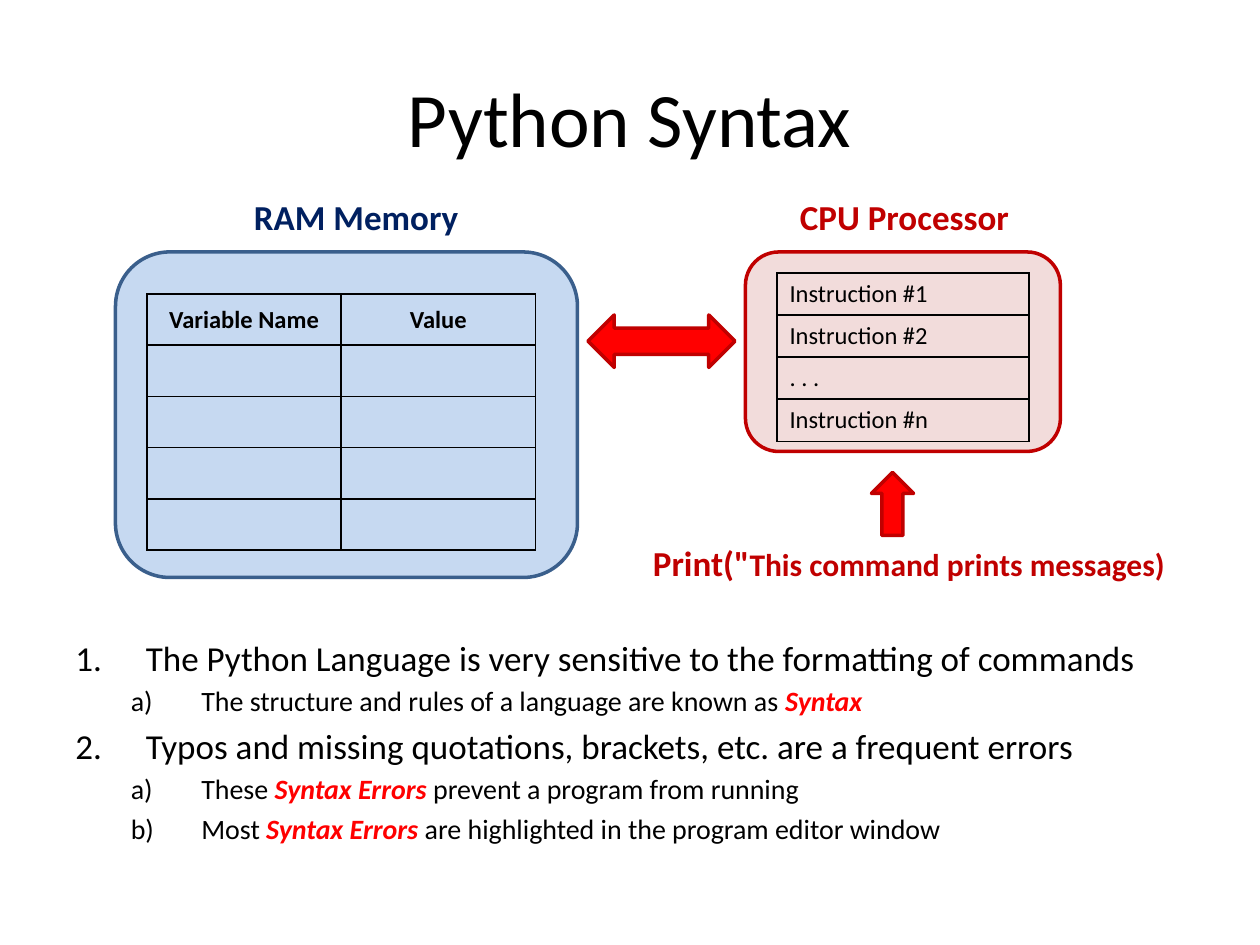
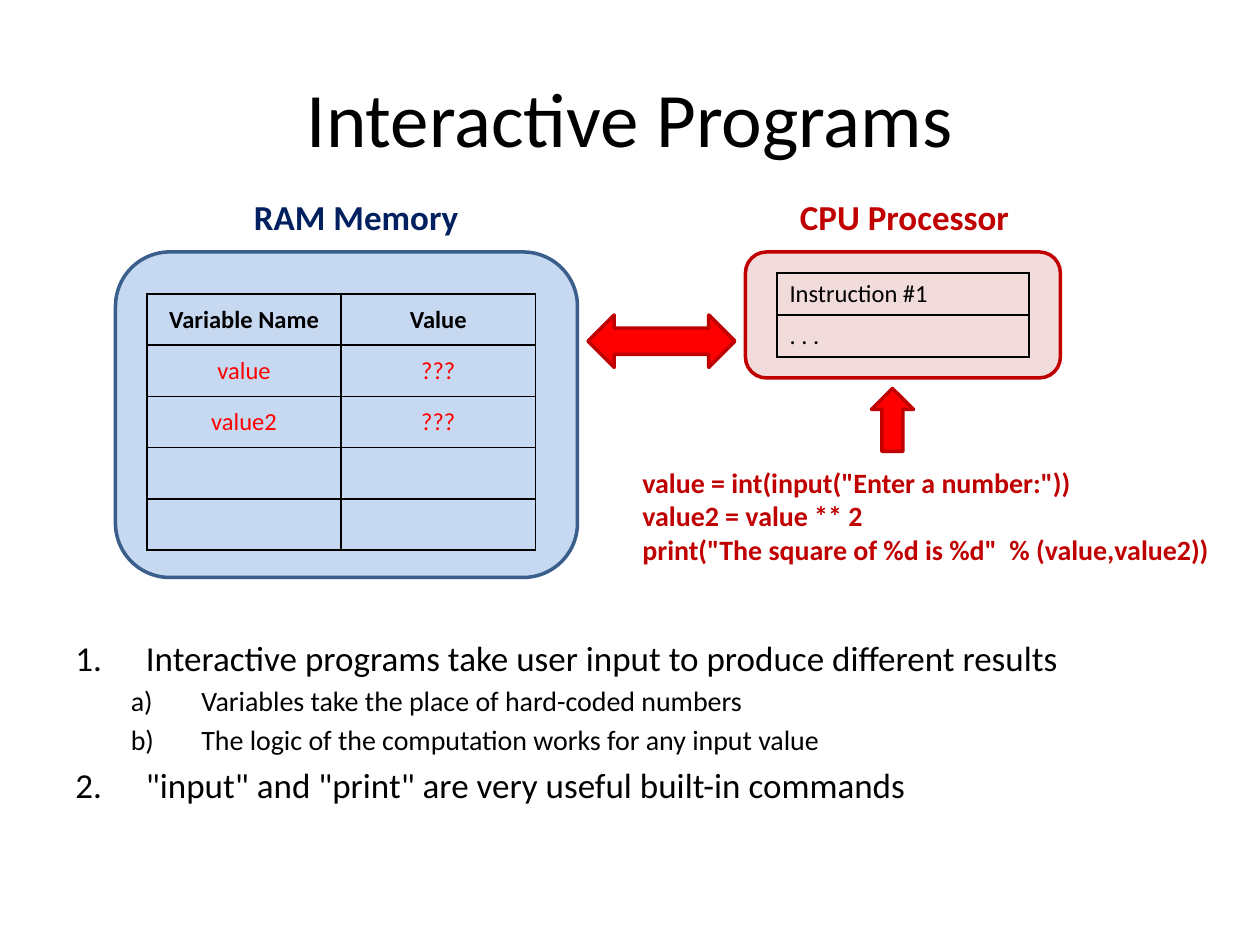
from dataclasses import dataclass
from typing import Any, Optional

from lxml import etree
from pptx import Presentation
from pptx.dml.color import RGBColor
from pptx.enum.shapes import MSO_SHAPE
from pptx.enum.text import MSO_ANCHOR, PP_ALIGN
from pptx.oxml.ns import qn
from pptx.util import Inches, Pt

ROUNDED = MSO_SHAPE.ROUNDED_RECTANGLE
TWO_WAY_ARROW = MSO_SHAPE.LEFT_RIGHT_ARROW
UP_ARROW = MSO_SHAPE.UP_ARROW
LEFT, CENTER = PP_ALIGN.LEFT, PP_ALIGN.CENTER
TOP, MIDDLE = MSO_ANCHOR.TOP, MSO_ANCHOR.MIDDLE

# The grid has 120 columns and 90 rows, twelve to the inch
UNIT = Inches(1) // 12
COLUMNS, ROWS = 120, 90
FONT = "Calibri"
COLORS = {
    "black": "000000",
    "red": "FF0000",
    "dark_red": "C00000",
    "pink": "F2DCDB",
    "navy": "002060",
    "blue_line": "3A5F8C",
    "light_blue": "C6D9F1",
}


@dataclass(frozen=True)
class Area:
    """Left, top, width and height in grid units."""
    left: float
    top: float
    width: float
    height: float

    def lengths(self) -> list[int]:
        return [round(value * UNIT) for value in
                (self.left, self.top, self.width, self.height)]


@dataclass(frozen=True)
class Span:
    text: str
    size: Optional[float] = None
    color: Optional[str] = None
    bold: Optional[bool] = None
    italic: Optional[bool] = None


@dataclass(frozen=True)
class Item:
    level: int
    spans: list[Span]


@dataclass(frozen=True)
class ListLevel:
    size: float
    margin: float
    numbering: str


@dataclass(frozen=True)
class Label:
    text: str
    area: Area
    color: str


@dataclass(frozen=True)
class Lesson:
    title: str
    variables: list[list[str]]
    instructions: list[str]
    cpu_height: float
    arrow_top: float
    code: list[list[Span]]
    code_size: float
    code_area: Area
    notes: list[Item]


TITLE_AREA = Area(6, 3.6, 108, 15)
NOTES_AREA = Area(6, 60, 108, 20.4)
RAM_AREA = Area(11, 24, 44, 31)
CPU_LEFT, CPU_TOP, CPU_WIDTH = 71, 24, 30
LABELS = [
    Label("RAM Memory", Area(23, 18, 22, 5.25), "navy"),
    Label("CPU Processor", Area(75, 18, 22.5, 5.25), "dark_red"),
]
VARIABLE_HEADER = ["Variable Name", "Value"]
VARIABLE_ROWS = 5
LIST_LEVELS = [
    ListLevel(20, 0.56, "arabicPeriod"),
    ListLevel(16, 1.0, "alphaLcParenR"),
]
HANGING = 0.56


def color(name: str) -> RGBColor:
    return RGBColor.from_string(COLORS[name])


def write_text(paragraph: Any, spans: list[Span], *, size: float,
               ink: str = "black", bold: bool = False,
               align: Any = LEFT) -> None:
    """Write spans; what a span leaves open follows the keywords."""
    paragraph.alignment = align
    for span in spans:
        run = paragraph.add_run()
        run.text = span.text
        run.font.name = FONT
        run.font.size = Pt(span.size or size)
        run.font.color.rgb = color(span.color or ink)
        run.font.bold = bold if span.bold is None else span.bold
        run.font.italic = span.italic


def add_text(slide: Any, area: Area, lines: list[list[Span]], *,
             wrap: bool = False, anchor: Any = TOP, **text_format: Any) -> None:
    frame = slide.shapes.add_textbox(*area.lengths()).text_frame
    frame.word_wrap = wrap
    frame.vertical_anchor = anchor
    for index, spans in enumerate(lines):
        paragraph = frame.add_paragraph() if index else frame.paragraphs[0]
        write_text(paragraph, spans, **text_format)


def add_notes(slide: Any, items: list[Item]) -> None:
    frame = slide.shapes.add_textbox(*NOTES_AREA.lengths()).text_frame
    frame.word_wrap = True
    for index, item in enumerate(items):
        paragraph = frame.add_paragraph() if index else frame.paragraphs[0]
        style = LIST_LEVELS[item.level]
        write_text(paragraph, item.spans, size=style.size)
        paragraph.level = item.level
        paragraph.space_before = Pt(style.size * 0.2)
        # Hanging indent and automatic number
        properties = paragraph._p.get_or_add_pPr()
        properties.set("marL", str(Inches(style.margin)))
        properties.set("indent", str(-Inches(HANGING)))
        number = etree.SubElement(properties, qn("a:buAutoNum"))
        number.set("type", style.numbering)


def add_block(slide: Any, kind: Any, area: Area, fill: str, line: str) -> None:
    shape = slide.shapes.add_shape(kind, *area.lengths())
    shape.shadow.inherit = False
    shape.fill.solid()
    shape.fill.fore_color.rgb = color(fill)
    shape.line.color.rgb = color(line)
    shape.line.width = Pt(2)


def add_borders(cell: Any) -> None:
    properties = cell._tc.get_or_add_tcPr()
    for index, side in enumerate(("a:lnL", "a:lnR", "a:lnT", "a:lnB")):
        border = etree.Element(qn(side), w=str(Pt(1)))
        fill = etree.SubElement(border, qn("a:solidFill"))
        etree.SubElement(fill, qn("a:srgbClr"), val=COLORS["black"])
        properties.insert(index, border)


def add_grid(slide: Any, area: Area, rows: list[list[str]], *,
             header: bool = False, body_ink: str = "black",
             align: Any = LEFT, anchor: Any = TOP) -> None:
    table = slide.shapes.add_table(len(rows), len(rows[0]),
                                   *area.lengths()).table
    table.first_row = False
    table.horz_banding = False
    for row_index, row in enumerate(rows):
        is_header = header and row_index == 0
        for column_index, text in enumerate(row):
            cell = table.cell(row_index, column_index)
            cell.fill.background()
            cell.vertical_anchor = anchor
            add_borders(cell)
            if text:
                write_text(cell.text_frame.paragraphs[0], [Span(text)],
                           size=14, bold=is_header, align=align,
                           ink="black" if is_header else body_ink)


def add_lesson(presentation: Any, lesson: Lesson) -> None:
    slide = presentation.slides.add_slide(presentation.slide_layouts[6])
    add_text(slide, TITLE_AREA, [[Span(lesson.title)]], size=44,
             align=CENTER, anchor=MIDDLE, wrap=True)
    add_notes(slide, lesson.notes)

    # Memory and processor
    cpu_area = Area(CPU_LEFT, CPU_TOP, CPU_WIDTH, lesson.cpu_height)
    add_block(slide, ROUNDED, RAM_AREA, "light_blue", "blue_line")
    add_block(slide, ROUNDED, cpu_area, "pink", "dark_red")
    for label in LABELS:
        add_text(slide, label.area, [[Span(label.text)]], size=20,
                 ink=label.color, bold=True)
    add_block(slide, TWO_WAY_ARROW, Area(56, 30, 14, 5), "red", "dark_red")

    # Contents of both
    blanks = VARIABLE_ROWS - 1 - len(lesson.variables)
    variables = [VARIABLE_HEADER, *lesson.variables, *[["", ""]] * blanks]
    add_grid(slide, Area(14, 28, 37, 24.4), variables, header=True,
             body_ink="red", align=CENTER, anchor=MIDDLE)
    add_grid(slide, Area(74, 26, 24, 4 * len(lesson.instructions)),
             [[text] for text in lesson.instructions])

    # Code fed to the processor
    add_text(slide, lesson.code_area, lesson.code, size=lesson.code_size,
             ink="dark_red", bold=True)
    add_block(slide, UP_ARROW, Area(83, lesson.arrow_top, 4, 6),
              "red", "dark_red")


def key_term(text: str) -> Span:
    return Span(text, color="red", bold=True, italic=True)


LESSONS = [
    Lesson(
        title="Python Syntax",
        variables=[],
        instructions=["Instruction #1", "Instruction #2", ". . .",
                      "Instruction #n"],
        cpu_height=19,
        arrow_top=45,
        code=[[Span('Print("'),
               Span("This command prints messages)", size=18)]],
        code_size=20,
        code_area=Area(61, 51, 51.6, 5.25),
        notes=[
            Item(0, [Span("The Python Language is very sensitive to the "
                          "formatting of commands")]),
            Item(1, [Span("The structure and rules of a language are known "
                          "as "), key_term("Syntax")]),
            Item(0, [Span("Typos and missing quotations, brackets, etc. are "
                          "a frequent errors")]),
            Item(1, [Span("These "), key_term("Syntax Errors "),
                     Span("prevent a program from running")]),
            Item(1, [Span("Most "), key_term("Syntax Errors "),
                     Span("are highlighted in the program editor window")]),
        ],
    ),
    Lesson(
        title="Interactive Programs",
        variables=[["value", "???"], ["value2", "???"]],
        instructions=["Instruction #1", ". . ."],
        cpu_height=12,
        arrow_top=37,
        code=[
            [Span('value = int(input("Enter a number:"))')],
            [Span("value2 = value ** 2")],
            [Span('print("The square of %d is %d"  % (value,value2))')],
        ],
        code_size=16,
        code_area=Area(60, 43.7, 57.7, 10.9),
        notes=[
            Item(0, [Span("Interactive programs take user input to produce "
                          "different results")]),
            Item(1, [Span("Variables take the place of hard-coded numbers")]),
            Item(1, [Span("The logic of the computation works for any input "
                          "value")]),
            Item(0, [Span('"input" and "print" are very useful built-in '
                          "commands")]),
        ],
    ),
]


def main() -> None:
    presentation = Presentation()
    presentation.slide_width = COLUMNS * UNIT
    presentation.slide_height = ROWS * UNIT
    for lesson in LESSONS:
        add_lesson(presentation, lesson)
    presentation.save("out.pptx")


if __name__ == "__main__":
    main()
